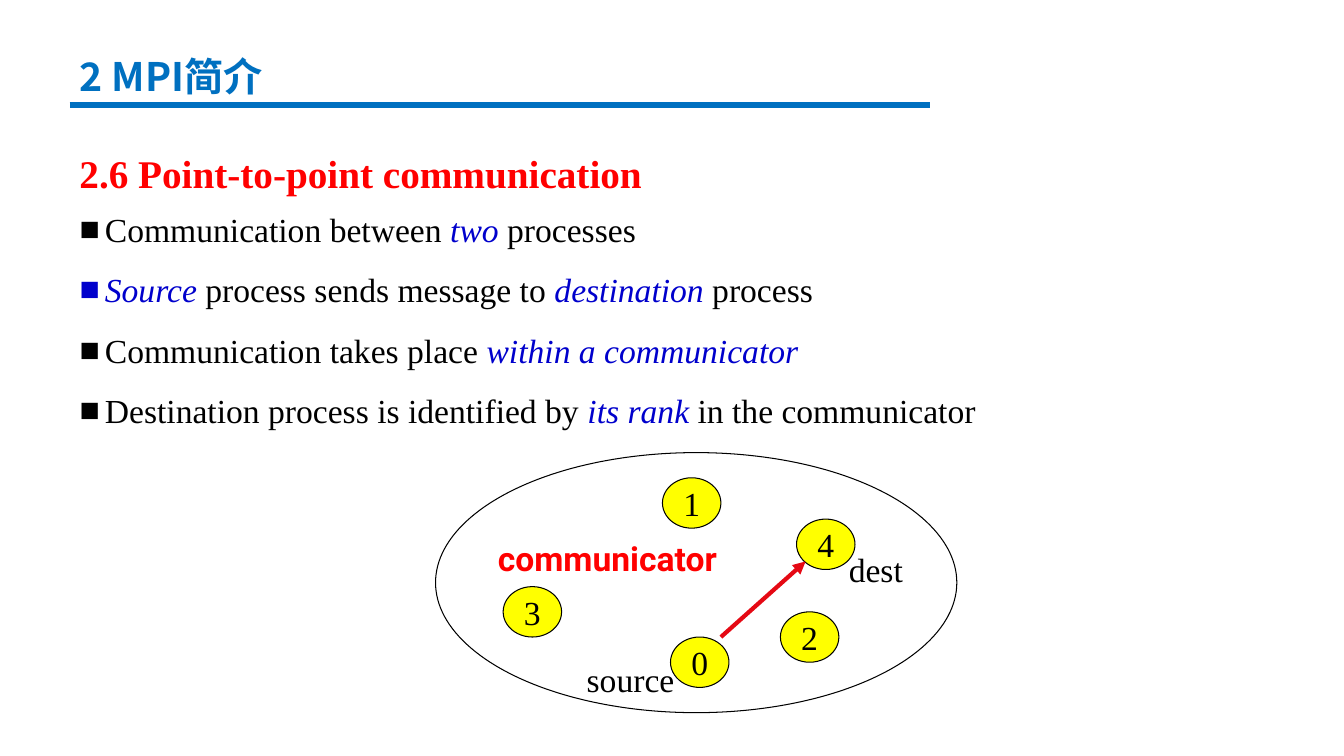
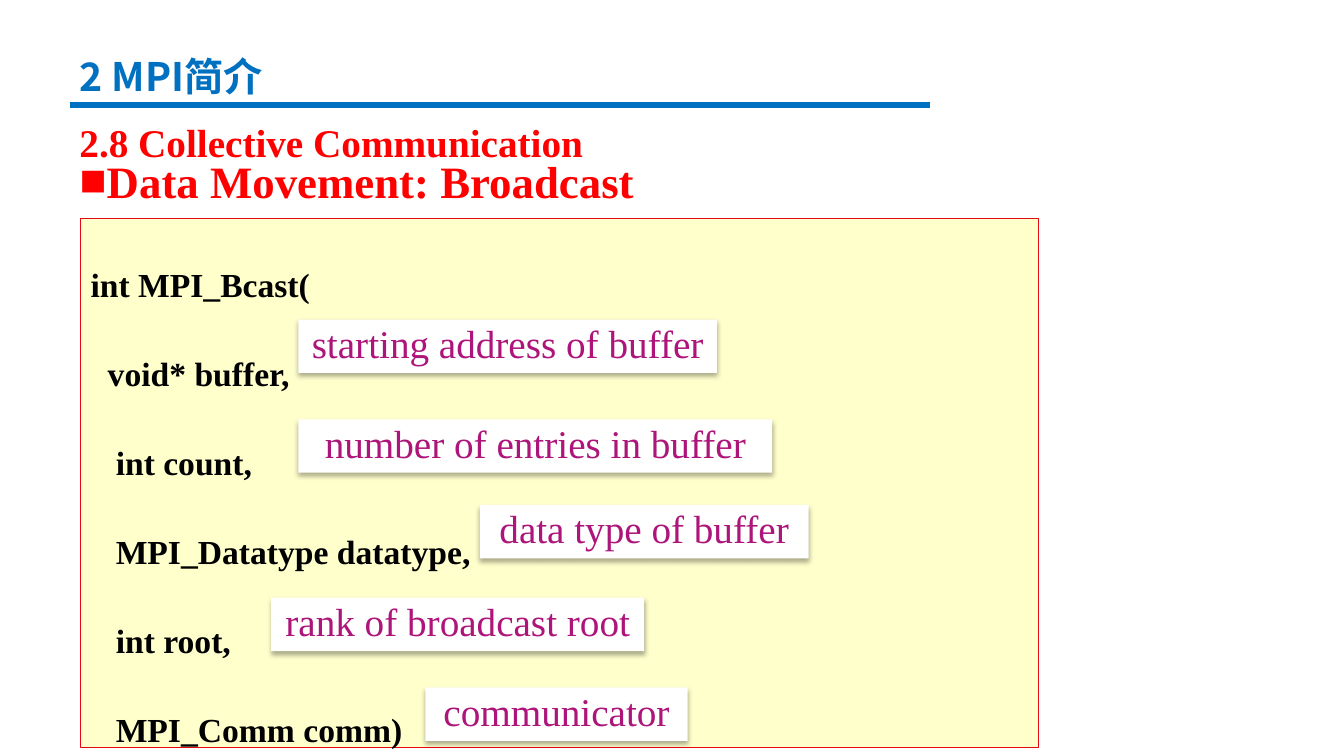
from lxml import etree
from pptx import Presentation
from pptx import util as u
from pptx.dml.color import RGBColor
from pptx.enum import shapes as kinds, text as txt
from pptx.oxml import ns

PX = 9144
BLUE = RGBColor(0x00, 0x70, 0xC0)
RED = RGBColor(0xFF, 0x00, 0x00)
CRIMSON = RGBColor(0xE5, 0x09, 0x14)
INK = RGBColor(0x00, 0x00, 0x00)
NAVY = RGBColor(0x00, 0x00, 0xCC)
YELLOW = RGBColor(0xFF, 0xFF, 0x00)
CREAM = RGBColor(0xFF, 0xFF, 0xCC)
WHITE = RGBColor(0xFF, 0xFF, 0xFF)
PLUM = RGBColor(0xAD, 0x15, 0x7A)
SERIF = "Times New Roman"
CJK = "Noto Sans CJK SC"
LEFT = txt.PP_ALIGN.LEFT
CENTER = txt.PP_ALIGN.CENTER
TOP = txt.MSO_ANCHOR.TOP
MIDDLE = txt.MSO_ANCHOR.MIDDLE


def px(*lengths):
    return [u.Emu(length * PX) for length in lengths]


def child(parent, tag, **attributes):
    return etree.SubElement(parent, ns.qn(tag), attributes)


def write(shape, lines, size=24, color=INK, font=SERIF, bold=False, align=LEFT,
          anchor=TOP, spacing=1.0, before=0, bullet=False, indents=None, wrap=True):
    """Text between | marks is emphasised."""
    frame = shape.text_frame
    frame.word_wrap = wrap
    frame.auto_size = txt.MSO_AUTO_SIZE.NONE
    frame.vertical_anchor = anchor
    for index, line in enumerate(lines):
        paragraph = frame.add_paragraph() if index else frame.paragraphs[0]
        paragraph.alignment = align
        paragraph.line_spacing = spacing
        paragraph.space_before = u.Pt(before)
        properties = paragraph._p.get_or_add_pPr()
        if bullet:
            properties.set("marL", str(25 * PX))
            properties.set("indent", str(-25 * PX))
            child(properties, "a:buFont", typeface=SERIF)
            child(properties, "a:buChar", char="■")
        elif indents:
            properties.set("marL", str(indents[index] * PX))
        for part, words in enumerate(line.split("|")):
            if not words:
                continue
            emphasised = part % 2 == 1
            run = paragraph.add_run()
            run.text = words
            run.font.size = u.Pt(size)
            run.font.bold = bold
            run.font.italic = emphasised
            run.font.color.rgb = NAVY if emphasised else color
            run.font.name = font
            child(run._r.get_or_add_rPr(), "a:ea", typeface=font)


def place(placeholder, box):
    placeholder.left, placeholder.top, placeholder.width, placeholder.height = px(*box)
    return placeholder


def add_label(shapes, box, words, **style):
    write(shapes.add_textbox(*px(*box)), [words], **style)


def add_panel(shapes, kind, box, fill=None, outline=None):
    panel = shapes.add_shape(kind, *px(*box))
    panel.shadow.inherit = False
    if fill is None:
        panel.fill.background()
    else:
        panel.fill.solid()
        panel.fill.fore_color.rgb = fill
    if outline is None:
        panel.line.fill.background()
    else:
        panel.line.color.rgb = outline
        panel.line.width = u.Pt(0.75)
    return panel


def add_line(shapes, start, end, color, width, arrow=False):
    line = shapes.add_connector(kinds.MSO_CONNECTOR.STRAIGHT, *px(*start, *end))
    line.line.color.rgb = color
    line.line.width = u.Pt(width)
    properties = line.element.spPr
    if arrow:
        child(properties.find(ns.qn("a:ln")), "a:tailEnd", type="triangle")
    child(properties, "a:effectLst")


def add_process(shapes, left, top, rank):
    process = add_panel(shapes, kinds.MSO_SHAPE.OVAL, (left, top, 58, 50), YELLOW, INK)
    write(process, [rank], align=CENTER, anchor=MIDDLE, wrap=False)


def add_note(shapes, left, top, width, words):
    note = add_panel(shapes, kinds.MSO_SHAPE.RECTANGLE, (left, top, width, 53), WHITE)
    effects = note.element.spPr.find(ns.qn("a:effectLst"))
    shadow = child(effects, "a:outerShdw", blurRad="44450", dist="27940",
                   dir="5400000", algn="ctr", rotWithShape="0")
    child(child(shadow, "a:srgbClr", val=str(INK)), "a:alpha", val="32000")
    write(note, [words], size=28, color=PLUM, align=CENTER, spacing=0.9)


def add_section_slide(deck, heading, heading_top):
    slide = deck.slides.add_slide(deck.slide_layouts[1])
    write(place(slide.shapes.title, (69, 47, 344, 57)), ["2 MPI简介"],
          size=28, color=BLUE, font=CJK, bold=True)
    add_line(slide.shapes, (69, 104), (922, 104), BLUE, 4.5)
    add_label(slide.shapes, (69, heading_top, 1227, 70), heading,
              size=28, color=RED, bold=True, spacing=1.5)
    return slide


def add_point_to_point(deck):
    slide = add_section_slide(deck, "2.6 Point-to-point communication", 120)
    write(place(slide.placeholders[1], (69, 182, 925, 267)), [
        "Communication between |two| processes",
        "|Source| process sends message to |destination| process",
        "Communication takes place |within a communicator|",
        "Destination process is identified by |its rank| in the communicator",
    ], spacing=1.5, bullet=True)

    diagram = slide.shapes.add_group_shape().shapes
    for left, top, rank in ((657, 474, "1"), (665, 632, "0"), (774, 607, "2"),
                            (499, 582, "3"), (790, 515, "4")):
        add_process(diagram, left, top, rank)
    add_line(diagram, (715, 632), (799, 557), CRIMSON, 3, arrow=True)
    add_label(diagram, (572, 649, 108, 46), "source", wrap=False)
    add_label(diagram, (832, 540, 74, 46), "dest", wrap=False)
    add_panel(diagram, kinds.MSO_SHAPE.OVAL, (432, 449, 517, 258), outline=INK)
    add_label(diagram, (484, 529, 296, 46), "communicator",
              color=RED, font="Roboto", bold=True)


def add_broadcast(deck):
    slide = add_section_slide(deck, "2.8 Collective Communication", 89)
    write(place(slide.placeholders[1], (69, 147, 956, 87)),
          ["Data Movement: Broadcast"], size=32, color=RED, bold=True, bullet=True)
    signature = add_panel(slide.shapes, kinds.MSO_SHAPE.RECTANGLE,
                          (80, 217, 950, 525), CREAM, CRIMSON)
    write(signature, [
        "int MPI_Bcast(",
        "void* buffer,",
        "int count,",
        "MPI_Datatype datatype,",
        "int root,",
        "MPI_Comm comm)",
    ], bold=True, spacing=2.0, before=6, indents=(0, 17, 25, 25, 25, 25))
    for left, top, width, words in (
        (296, 317, 415, "starting address of buffer"),
        (296, 416, 470, "number of entries in buffer"),
        (476, 501, 326, "data type of buffer"),
        (269, 593, 370, "rank of broadcast root"),
        (422, 682, 260, "communicator"),
    ):
        add_note(slide.shapes, left, top, width, words)


def main():
    deck = Presentation()
    deck.slide_width, deck.slide_height = px(1333, 750)
    add_point_to_point(deck)
    add_broadcast(deck)
    deck.save("out.pptx")


if __name__ == "__main__":
    main()
